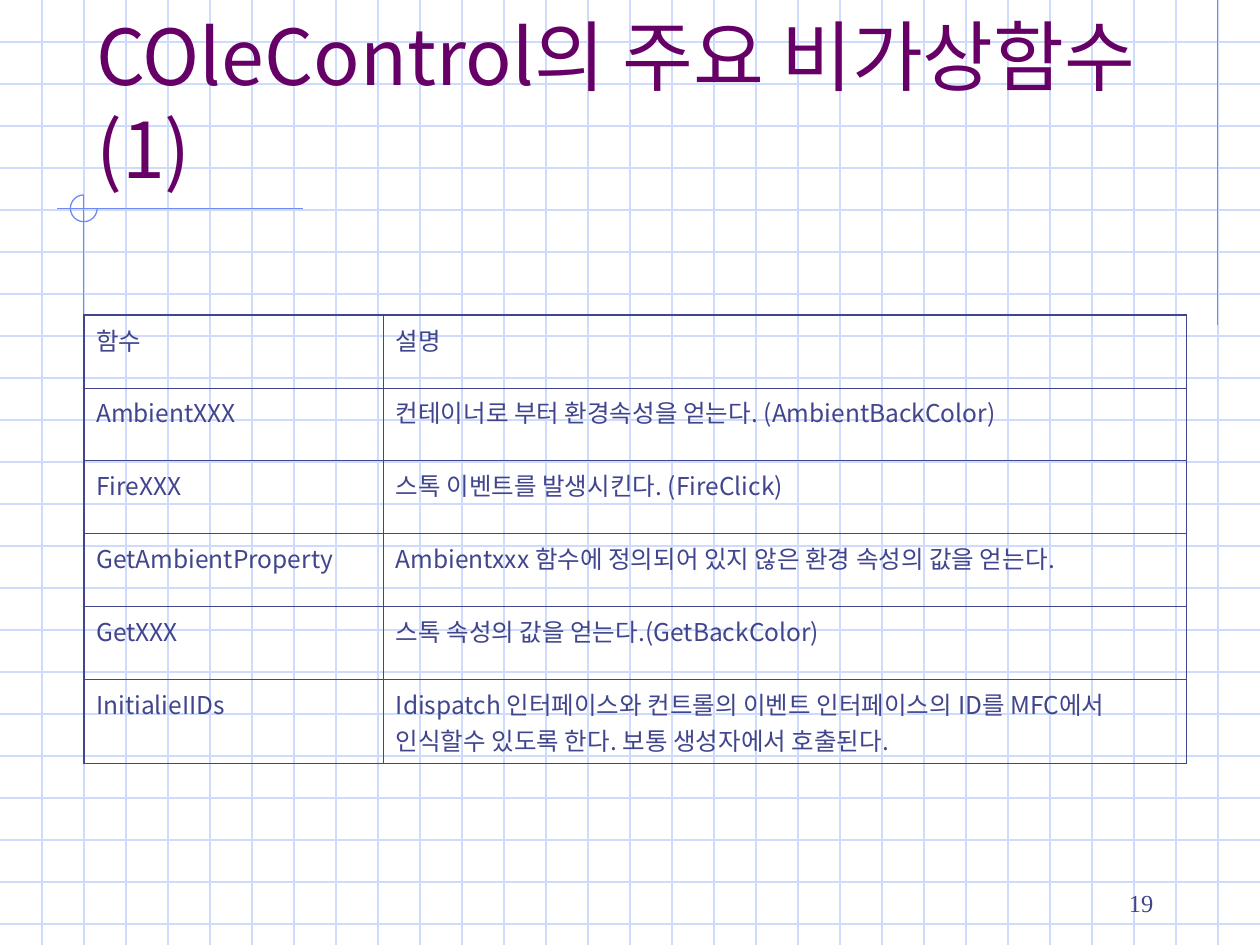
import pptx
import pptx.util
import pptx.dml.color
import pptx.enum.shapes
import pptx.enum.text
import pptx.oxml.ns
from lxml import etree

Cm, Pt = pptx.util.Cm, pptx.util.Pt
qn = pptx.oxml.ns.qn
colours = {"grid": "CFDBFD", "accent": "6F89F7", "title": "660066", "text": "40458C"}
korean = "Noto Sans CJK KR"


def draw_line(page, left, top, right, bottom, colour):
    line = page.shapes.add_connector(
        pptx.enum.shapes.MSO_CONNECTOR.STRAIGHT, Cm(left), Cm(top), Cm(right), Cm(bottom))
    line.line.color.rgb = pptx.dml.color.RGBColor.from_string(colours[colour])
    line.line.width = Pt(0.75)
    etree.SubElement(line._element.spPr, qn("a:effectLst"))


def write_text(frame, text, size, colour, typeface):
    frame.word_wrap = True
    para = frame.paragraphs[0]
    para.text = text
    para.font.size = Pt(size)
    para.font.color.rgb = pptx.dml.color.RGBColor.from_string(colours[colour])
    para.font.name = typeface
    latin = para.font._element.find(qn("a:latin"))
    east_asian = etree.Element(qn("a:ea"), typeface=typeface)
    latin.addnext(east_asian)
    return para


deck = pptx.Presentation()
deck.slide_width, deck.slide_height = Cm(25.4), Cm(19.05)
page = deck.slides.add_slide(deck.slide_layouts[6])

# Background grid, three squares to the inch
step = 2.54 / 3
for row in range(1, 23):
    draw_line(page, 0, row * step, 25.4, row * step, "grid")
for column in range(1, 30):
    draw_line(page, column * step, 0, column * step, 19.05, "grid")

# Accent lines and the open ring at their crossing
draw_line(page, 24.55, 0, 24.55, 6.55, "accent")
draw_line(page, 6.1, 4.2, 1.15, 4.2, "accent")
draw_line(page, 1.69, 3.94, 1.69, 10.39, "accent")
ring = page.shapes.add_shape(
    pptx.enum.shapes.MSO_SHAPE.ARC, Cm(1.42), Cm(3.93), Cm(0.54), Cm(0.54))
ring.adjustments[0] = 0
ring.adjustments[1] = 162
ring.shadow.inherit = False
ring.fill.background()
ring.line.color.rgb = pptx.dml.color.RGBColor.from_string(colours["accent"])
ring.line.width = Pt(0.75)

# Title
title = page.shapes.add_textbox(Cm(1.69), Cm(0.85), Cm(21.59), Cm(3.18))
title.text_frame.vertical_anchor = pptx.enum.text.MSO_ANCHOR.BOTTOM
write_text(title.text_frame, "COleControl의 주요 비가상함수(1)", 44, "title", korean)

# Function table; the last row is taller for its two lines of text
functions = [
    ("함수", "설명"),
    ("AmbientXXX", "컨테이너로 부터 환경속성을 얻는다. (AmbientBackColor)"),
    ("FireXXX", "스톡 이벤트를 발생시킨다. (FireClick)"),
    ("GetAmbientProperty", "Ambientxxx 함수에 정의되어 있지 않은 환경 속성의 값을 얻는다."),
    ("GetXXX", "스톡 속성의 값을 얻는다.(GetBackColor)"),
    ("InitialieIIDs", "Idispatch 인터페이스와 컨트롤의 이벤트 인터페이스의 ID를 MFC에서 "
                      "인식할수 있도록 한다. 보통 생성자에서 호출된다."),
]
last_row = len(functions) - 1
table = page.shapes.add_table(
    len(functions), 2, Cm(1.69), Cm(6.35), Cm(22.23), Cm(9.04)).table
table.first_row = False
table.horz_banding = False
table.columns[0].width, table.columns[1].width = Cm(6.04), Cm(16.19)
for row, texts in enumerate(functions):
    table.rows[row].height = Cm(1.69 if row == last_row else 1.47)
    for column, text in enumerate(texts):
        cell = table.cell(row, column)
        para = write_text(cell.text_frame, text, 14, "text", korean)
        if row != last_row:
            para.space_before = Pt(3.5)
        cell.margin_left = cell.margin_right = Cm(0.25)
        cell.margin_top = cell.margin_bottom = Cm(0.13)

        # Outer edges are thicker than inner ones
        outer = {"a:lnL": column == 0, "a:lnR": column == 1,
                 "a:lnT": row == 0, "a:lnB": row == last_row}
        properties = cell._tc.get_or_add_tcPr()
        for side, is_outer in outer.items():
            width = Pt(1.08 if is_outer else 0.45)
            border = etree.SubElement(properties, qn(side), w=str(width))
            fill = etree.SubElement(border, qn("a:solidFill"))
            etree.SubElement(fill, qn("a:srgbClr"), val=colours["text"])
        cell.fill.background()

# Page number
number = page.shapes.add_textbox(Cm(18.21), Cm(17.35), Cm(5.29), Cm(1.27))
number.text_frame.vertical_anchor = pptx.enum.text.MSO_ANCHOR.BOTTOM
para = write_text(number.text_frame, "19", 14, "text", "Times New Roman")
para.alignment = pptx.enum.text.PP_ALIGN.RIGHT

deck.save("out.pptx")
